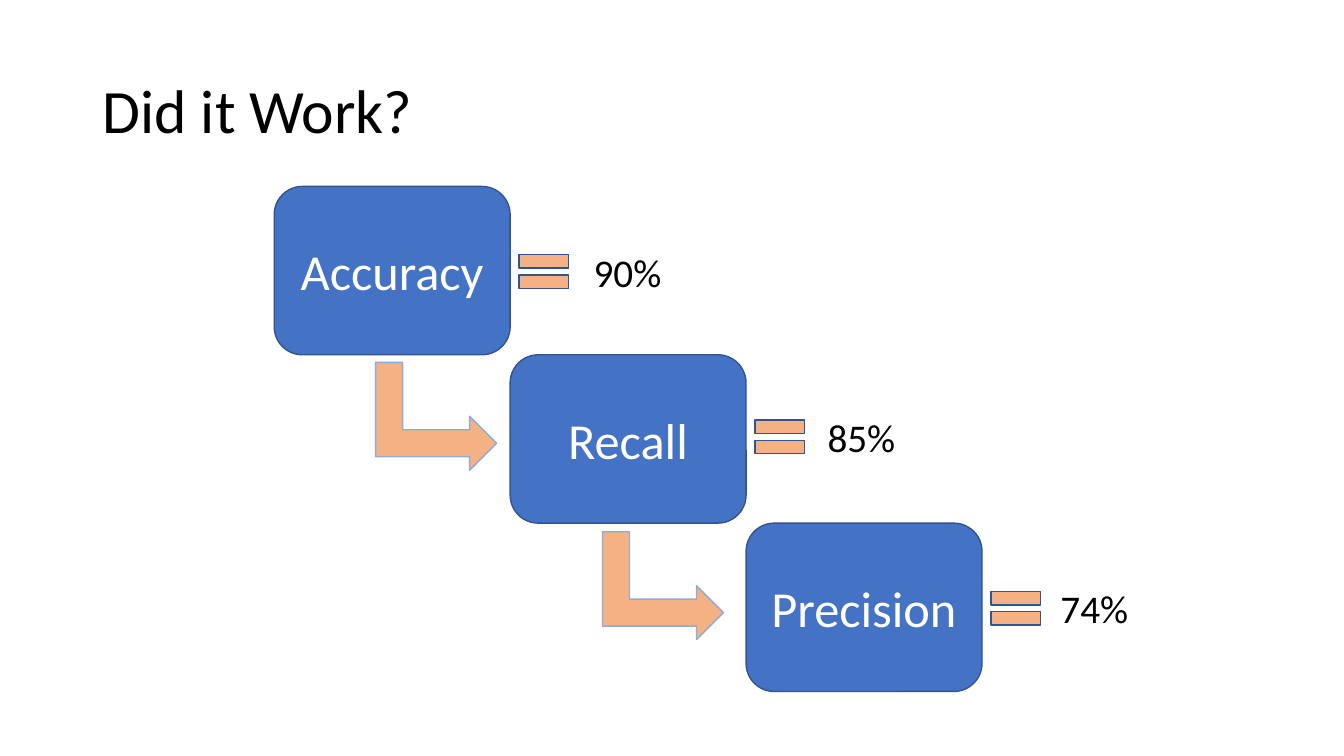
from dataclasses import dataclass

from pptx import Presentation
from pptx.dml.color import RGBColor
from pptx.enum.shapes import MSO_SHAPE
from pptx.enum.text import MSO_ANCHOR, PP_ALIGN
from pptx.util import Inches, Pt

ROUNDED = MSO_SHAPE.ROUNDED_RECTANGLE
BENT_ARROW = MSO_SHAPE.BENT_UP_ARROW
EQUAL = MSO_SHAPE.MATH_EQUAL
MIDDLE, TOP = MSO_ANCHOR.MIDDLE, MSO_ANCHOR.TOP
CENTER, LEFT = PP_ALIGN.CENTER, PP_ALIGN.LEFT


@dataclass(frozen=True)
class Theme:
    font: str = "Calibri"
    title_size: int = 44
    box_size: int = 36
    value_size: int = 28
    text: str = "000000"
    box_text: str = "FFFFFF"
    box: str = "4472C4"
    outline: str = "325491"
    accent: str = "F4B183"
    arrow_line: str = "8FAADC"


class Deck:
    def __init__(self, slide, theme):
        self.slide, self.theme = slide, theme

    def shape(self, kind, x, y, w, h, fill, line):
        s = self.slide.shapes.add_shape(kind, Inches(x), Inches(y), Inches(w), Inches(h))
        s.shadow.inherit = False
        s.fill.solid()
        s.fill.fore_color.rgb = RGBColor.from_string(fill)
        s.line.color.rgb = RGBColor.from_string(line)
        s.line.width = Pt(1)
        return s

    def label(self, s, text, size, color, align, anchor):
        tf = s.text_frame
        tf.word_wrap = True
        tf.vertical_anchor = anchor
        p = tf.paragraphs[0]
        p.text = text
        p.alignment = align
        p.font.name = self.theme.font
        p.font.size = Pt(size)
        p.font.color.rgb = RGBColor.from_string(color)
        return p

    def text(self, text, x, y, w, h, size, anchor=TOP):
        s = self.slide.shapes.add_textbox(Inches(x), Inches(y), Inches(w), Inches(h))
        return self.label(s, text, size, self.theme.text, LEFT, anchor)

    def box(self, text, x, y, w, h):
        t = self.theme
        s = self.shape(ROUNDED, x, y, w, h, t.box, t.outline)
        self.label(s, text, t.box_size, t.box_text, CENTER, MIDDLE)

    def arrow(self, x, y):
        t = self.theme
        s = self.shape(BENT_ARROW, x, y, 1.07, 1.2, t.accent, t.arrow_line)
        s.rotation = 90

    def equal_sign(self, x, y):
        t = self.theme
        self.shape(EQUAL, x, y, 0.67, 0.57, t.accent, t.outline)


def main():
    prs = Presentation()
    prs.slide_width, prs.slide_height = Inches(13.33), Inches(7.5)
    theme = Theme()
    deck = Deck(prs.slides.add_slide(prs.slide_layouts[6]), theme)

    # Title
    p = deck.text("Did it Work?", 0.92, 0.4, 11.5, 1.45, theme.title_size, MIDDLE)
    p.line_spacing = 0.9

    # Staircase of metrics: each box starts at the corner of the one before
    left, top, width, height = 2.72, 1.85, 2.34, 1.67
    metrics = [  # name, value, value left, value top
        ("Accuracy", "90%", 5.79, 2.41),
        ("Recall", "85%", 8.11, 4.05),
        ("Precision", "74%", 10.42, 5.75),
    ]
    for i, (name, value, value_x, value_y) in enumerate(metrics):
        x, y = left + i * width, top + i * height
        deck.box(name, x, y, width, height)
        deck.equal_sign(x + width, value_y)
        deck.text(value, value_x, value_y, 0.96, 0.57, theme.value_size)

    # Arrows from each metric to the next
    for i in range(len(metrics) - 1):
        deck.arrow(3.79 + i * 2.25, 3.53 + i * 1.68)

    prs.save("out.pptx")


if __name__ == "__main__":
    main()
